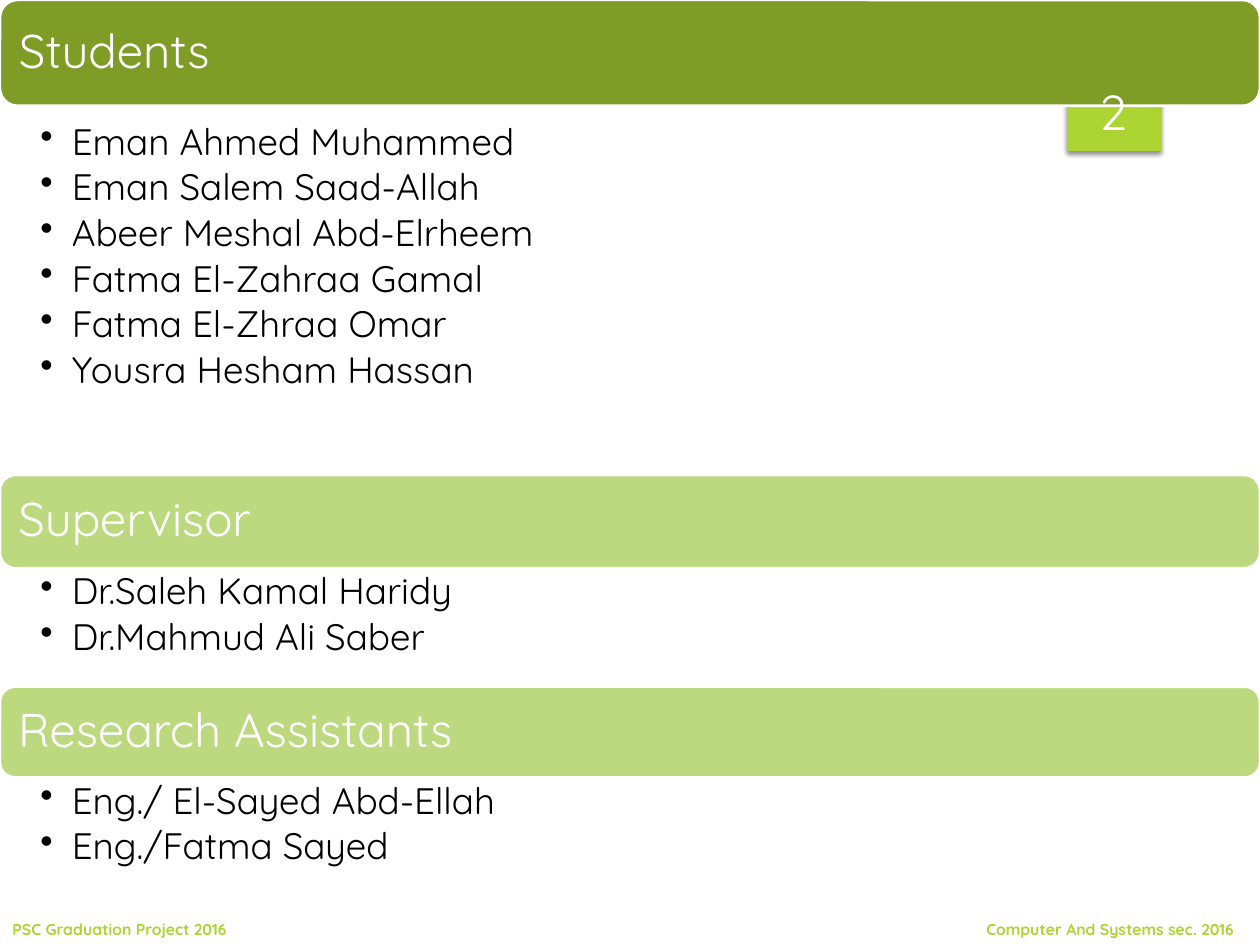
from dataclasses import dataclass

from lxml.etree import SubElement
from pptx import Presentation
from pptx.dml.color import RGBColor
from pptx.enum.shapes import MSO_SHAPE as Shape
from pptx.enum.text import MSO_ANCHOR as Anchor, PP_ALIGN as Align
from pptx.oxml.ns import qn
from pptx.util import Inches, Pt


@dataclass(frozen=True)
class Theme:
    font: str = "Quicksand"
    white: str = "FFFFFF"
    black: str = "000000"
    accent: str = "ACD433"
    band_dark: str = "7F9D26"
    band_light: str = "BCD97F"
    heading: float = 27
    body: float = 21
    number: float = 28
    footer: float = 9


THEME = Theme()
SLIDE_WIDTH, SLIDE_HEIGHT = 10, 7.5

# heading, band colour, top, band height, gap below band, list height, names
SECTIONS = [
    ("Students", THEME.band_dark, 0, 0.84, 0.1, 2.83, [
        "Eman Ahmed Muhammed", "Eman Salem Saad-Allah",
        "Abeer Meshal Abd-Elrheem", "Fatma El-Zahraa Gamal",
        "Fatma El-Zhraa Omar", "Yousra Hesham Hassan"]),
    ("Supervisor", THEME.band_light, 3.77, 0.74, 0, 0.94, [
        "Dr.Saleh Kamal Haridy", "Dr.Mahmud Ali Saber"]),
    ("Research Assistants", THEME.band_light, 5.45, 0.72, 0, 0.94, [
        "Eng./ El-Sayed Abd-Ellah", "Eng./Fatma Sayed"]),
]


def inches(box):
    return [Inches(value) for value in box]


def add_bullet(paragraph):
    properties = paragraph._p.get_or_add_pPr()
    properties.set("marL", str(Inches(0.25)))
    properties.set("indent", str(Inches(-0.25)))
    SubElement(properties, qn("a:buChar"), char="•")


def write_text(shape, lines, *, size, color, bold=False, align=Align.LEFT,
               anchor=Anchor.TOP, insets=(0.1, 0.05, 0.1, 0.05),
               line_spacing=1.0, space_after=0, bullets=False):
    """Fill a shape with one paragraph for each line."""
    frame = shape.text_frame
    frame.word_wrap = True
    frame.vertical_anchor = anchor
    (frame.margin_left, frame.margin_top,
     frame.margin_right, frame.margin_bottom) = inches(insets)
    for index, line in enumerate(lines):
        paragraph = frame.add_paragraph() if index else frame.paragraphs[0]
        paragraph.alignment = align
        paragraph.line_spacing = line_spacing
        paragraph.space_after = Pt(space_after)
        if bullets:
            add_bullet(paragraph)
        run = paragraph.add_run()
        run.text = line
        run.font.name = THEME.font
        run.font.size = Pt(size)
        run.font.bold = bold
        run.font.color.rgb = RGBColor.from_string(color)


def add_filled_shape(slide, kind, box, fill):
    shape = slide.shapes.add_shape(kind, *inches(box))
    shape.shadow.inherit = False
    shape.fill.solid()
    shape.fill.fore_color.rgb = RGBColor.from_string(fill)
    shape.line.fill.background()
    return shape


def add_text_box(slide, box, lines, **text_format):
    write_text(slide.shapes.add_textbox(*inches(box)), lines, **text_format)


def add_drop_shadow(shape):
    effects = shape._element.spPr.find(qn("a:effectLst"))
    shadow = SubElement(effects, qn("a:outerShdw"), blurRad=str(Pt(3)),
                        dist=str(Pt(2)), dir="5400000", rotWithShape="0")
    color = SubElement(shadow, qn("a:srgbClr"), val=THEME.black)
    SubElement(color, qn("a:alpha"), val="45000")


def add_number_tab(slide, box):
    """Green tab that hangs from the top edge."""
    add_drop_shadow(add_filled_shape(slide, Shape.RECTANGLE, box, THEME.accent))


def add_page_number(slide, box, number):
    add_text_box(slide, box, [number], size=THEME.number, color=THEME.white,
                 align=Align.CENTER, anchor=Anchor.BOTTOM)


def add_section(slide, box, heading, fill, band_height, gap, names):
    """Heading band with a bulleted list of names below it."""
    left, top, width, height = box
    band = add_filled_shape(slide, Shape.ROUNDED_RECTANGLE,
                            (left, top, width, band_height), fill)
    band.line.color.rgb = RGBColor.from_string(THEME.white)
    band.line.width = Pt(1.5)
    write_text(band, [heading], size=THEME.heading, color=THEME.white,
               anchor=Anchor.MIDDLE, insets=(0.11,) * 4, line_spacing=0.9)

    list_top = band_height + gap
    add_text_box(slide, (left, top + list_top, width, height - list_top), names,
                 size=THEME.body, color=THEME.black, bullets=True,
                 insets=(0.32, 0.04, 0.21, 0.04), line_spacing=0.9,
                 space_after=3.4)


def add_footer(slide, box):
    left, top, width, height = box
    right_width = 2.27
    parts = [("PSC Graduation Project 2016", left, 4.22),
             ("Computer And Systems sec. 2016",
              left + width - right_width, right_width)]
    for text, part_left, part_width in parts:
        add_text_box(slide, (part_left, top, part_width, height), [text],
                     size=THEME.footer, color=THEME.accent, bold=True,
                     anchor=Anchor.BOTTOM)


def main():
    presentation = Presentation()
    presentation.slide_width = Inches(SLIDE_WIDTH)
    presentation.slide_height = Inches(SLIDE_HEIGHT)
    slide = presentation.slides.add_slide(presentation.slide_layouts[6])

    # The tab lies behind the first band, its number in front
    add_number_tab(slide, (8.47, 0, 0.75, 1.2))
    for heading, fill, top, band_height, gap, list_height, names in SECTIONS:
        box = (0, top, SLIDE_WIDTH, band_height + gap + list_height)
        add_section(slide, box, heading, fill, band_height, gap, names)
    add_page_number(slide, (8.49, 0.32, 0.69, 0.84), "2")
    add_footer(slide, (0, 7.25, SLIDE_WIDTH, 0.25))

    presentation.save("out.pptx")


if __name__ == "__main__":
    main()
